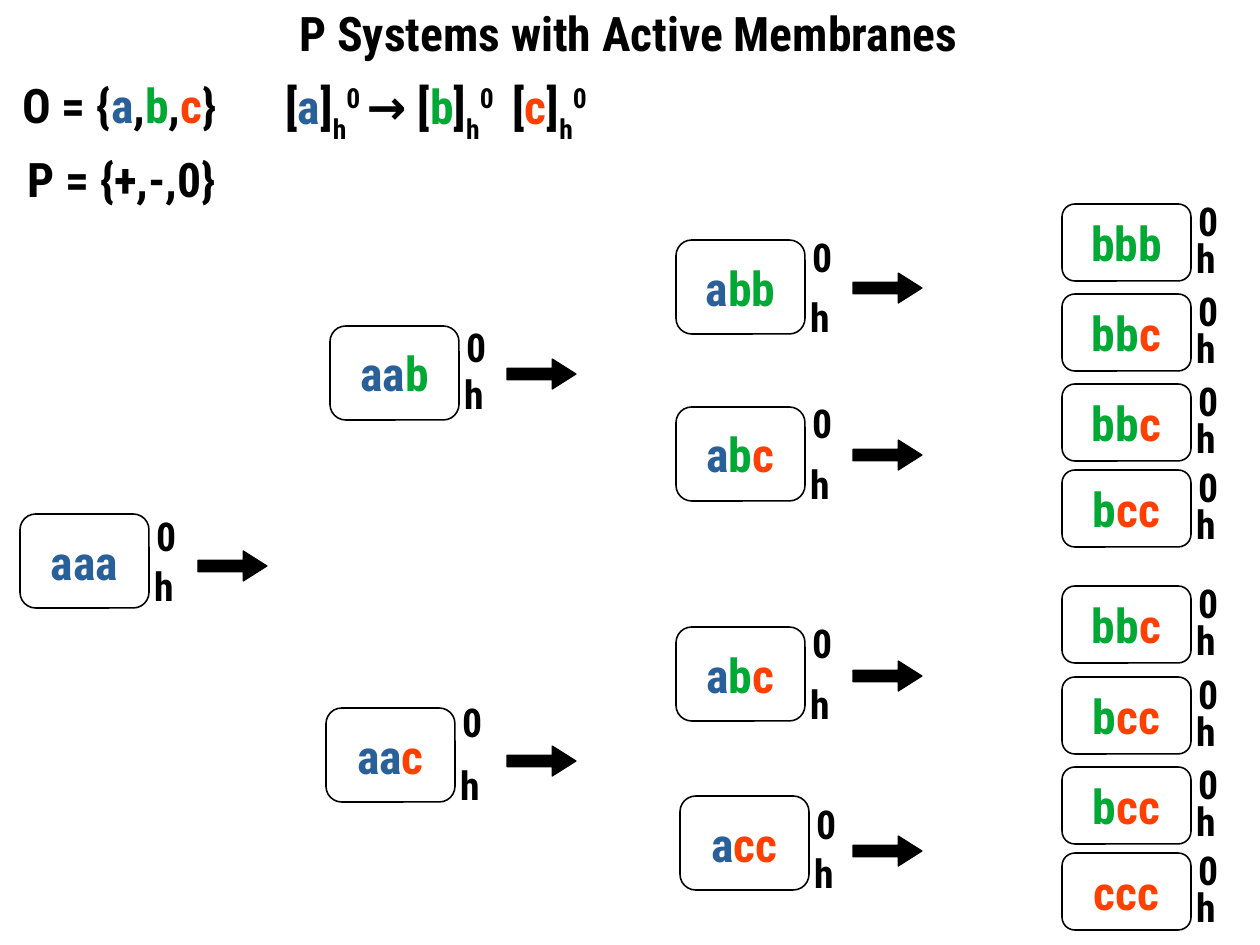
from itertools import groupby

from pptx import Presentation
from pptx.dml.color import RGBColor
from pptx.enum.shapes import MSO_SHAPE
from pptx.enum.text import MSO_ANCHOR, PP_ALIGN
from pptx.util import Pt

PX = 8000
FONT = "Roboto Condensed"
ROUNDED = MSO_SHAPE.ROUNDED_RECTANGLE
ARROW = MSO_SHAPE.RIGHT_ARROW
MIDDLE = MSO_ANCHOR.MIDDLE
CENTER = PP_ALIGN.CENTER
COLORS = {"a": "2A6099", "b": "00A933", "c": "FF4000", "text": "000000"}


def write(shape, segments, size):
    paragraph = shape.text_frame.paragraphs[0]
    paragraph.font.name = FONT
    paragraph.font.size = Pt(size)
    paragraph.font.bold = True
    for text, baseline in segments:
        for color, letters in groupby(text, lambda letter: COLORS.get(letter, COLORS["text"])):
            run = paragraph.add_run()
            run.text = "".join(letters)
            run.font.color.rgb = RGBColor.from_string(color)
            if baseline:
                run._r.get_or_add_rPr().set("baseline", str(baseline * 1000))
    return paragraph


def add_text(left, top, width, height, segments, size):
    box = slide.shapes.add_textbox(left * PX, top * PX, width * PX, height * PX)
    box.text_frame.word_wrap = True
    return write(box, segments, size)


presentation = Presentation()
presentation.slide_width = 1260 * PX
presentation.slide_height = 945 * PX
slide = presentation.slides.add_slide(presentation.slide_layouts[6])

title = slide.shapes.add_textbox(0, 1 * PX, 1257 * PX, 63 * PX)
frame = title.text_frame
frame.word_wrap = True
frame.vertical_anchor = MIDDLE
frame.margin_left = frame.margin_right = frame.margin_top = frame.margin_bottom = 0
heading = frame.paragraphs[0]
heading.text = "P Systems with Active Membranes"
heading.alignment = CENTER
heading.font.name = FONT
heading.font.size = Pt(30)
heading.font.bold = True
heading.font.color.rgb = RGBColor.from_string(COLORS["text"])

add_text(11, 70, 217, 106, [("O = {a,b,c}", 0)], 30)
add_text(16, 144, 217, 106, [("P = {+,-,0}", 0)], 30)

label, charge, gap = ("h", -33), ("0", 33), (" ", 33)
division = [("[a]", 0), label, charge, gap, ("→ [b]", 0), label, charge, gap, ("[c]", 0), label, charge]
rule = add_text(274, 71, 448, 85, division, 30)
wide_gap = [run for run in rule.runs if run.text == " "][-1]
wide_gap._r.get_or_add_rPr().set("spc", "770")

membranes = [
    ("aaa", 20, 514, 94, -8, 42),
    ("aab", 330, 326, 94, -9, 38),
    ("aac", 326, 708, 94, -16, 47),
    ("abb", 676, 240, 94, -13, 47),
    ("abc", 676, 407, 94, -14, 47),
    ("abc", 676, 627, 94, -14, 47),
    ("acc", 680, 796, 94, -2, 47),
]
leaf_tops = [204, 294, 384, 470, 586, 677, 767, 853]
leaf_objects = ["bbb", "bbc", "bbc", "bcc", "bbc", "bcc", "bcc", "ccc"]
membranes += [(objects, 1062, top, 77, -13, 24) for objects, top in zip(leaf_objects, leaf_tops)]

for objects, left, top, height, charge_offset, label_offset in membranes:
    membrane = slide.shapes.add_shape(ROUNDED, left * PX, top * PX, 129 * PX, height * PX)
    membrane.shadow.inherit = False
    membrane.fill.background()
    membrane.line.color.rgb = RGBColor.from_string(COLORS["text"])
    membrane.line.width = Pt(1)
    membrane.text_frame.word_wrap = False
    membrane.text_frame.vertical_anchor = MIDDLE
    write(membrane, [(objects, 0)], 30).alignment = CENTER
    add_text(left + 125, top + charge_offset, 34, 64, [("0", 0)], 25)
    add_text(left + 123, top + label_offset, 34, 64, [("h", 0)], 25)

arrow_columns = {198: [551], 507: [359, 746], 853: [273, 440, 661, 836]}
for left, tops in arrow_columns.items():
    for top in tops:
        arrow = slide.shapes.add_shape(ARROW, left * PX, top * PX, 69 * PX, 30 * PX)
        arrow.adjustments[0] = 0.39
        arrow.adjustments[1] = 0.79
        arrow.shadow.inherit = False
        arrow.fill.solid()
        arrow.fill.fore_color.rgb = RGBColor.from_string(COLORS["text"])
        arrow.line.color.rgb = RGBColor.from_string(COLORS["text"])
        arrow.line.width = Pt(0)

presentation.save("out.pptx")
